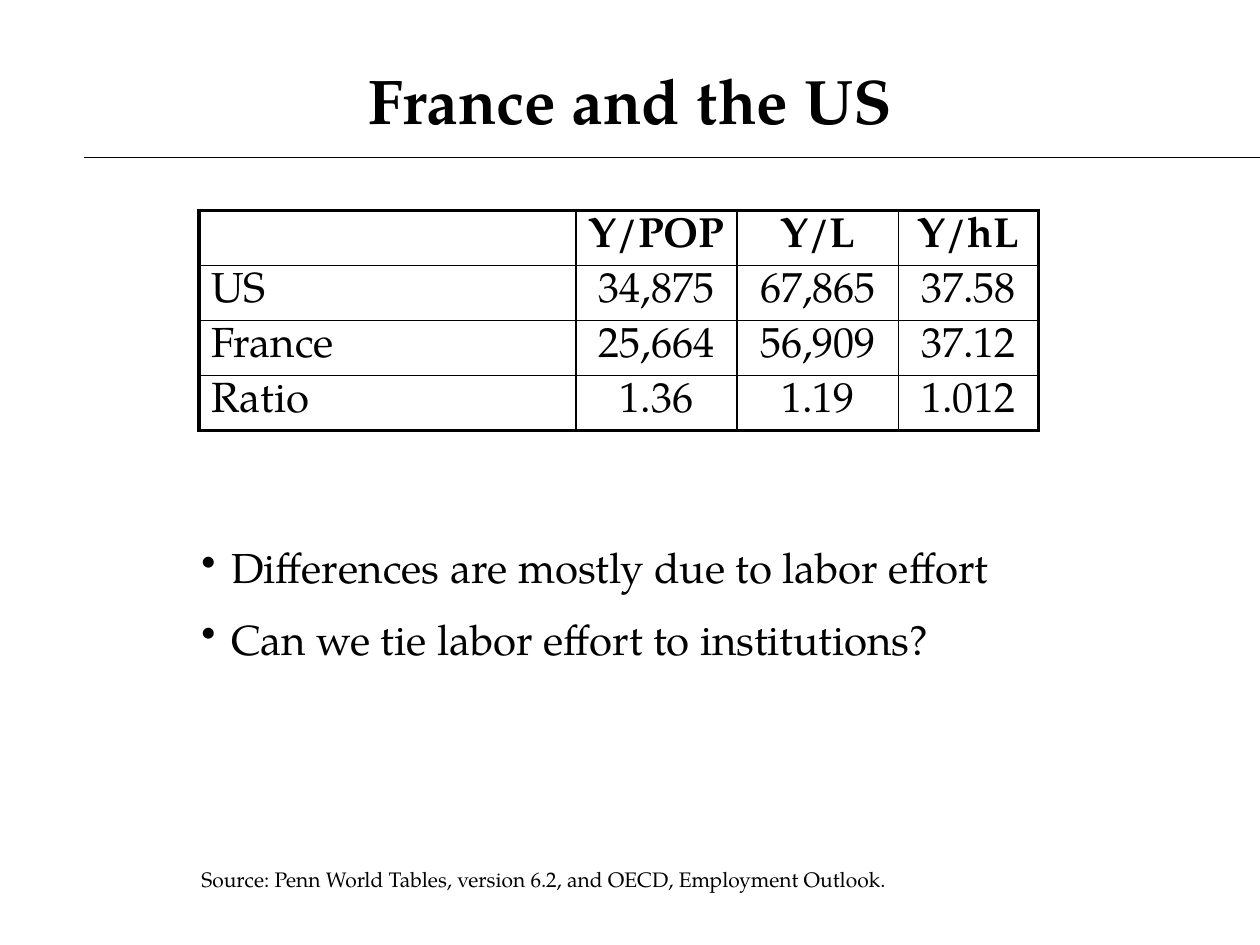
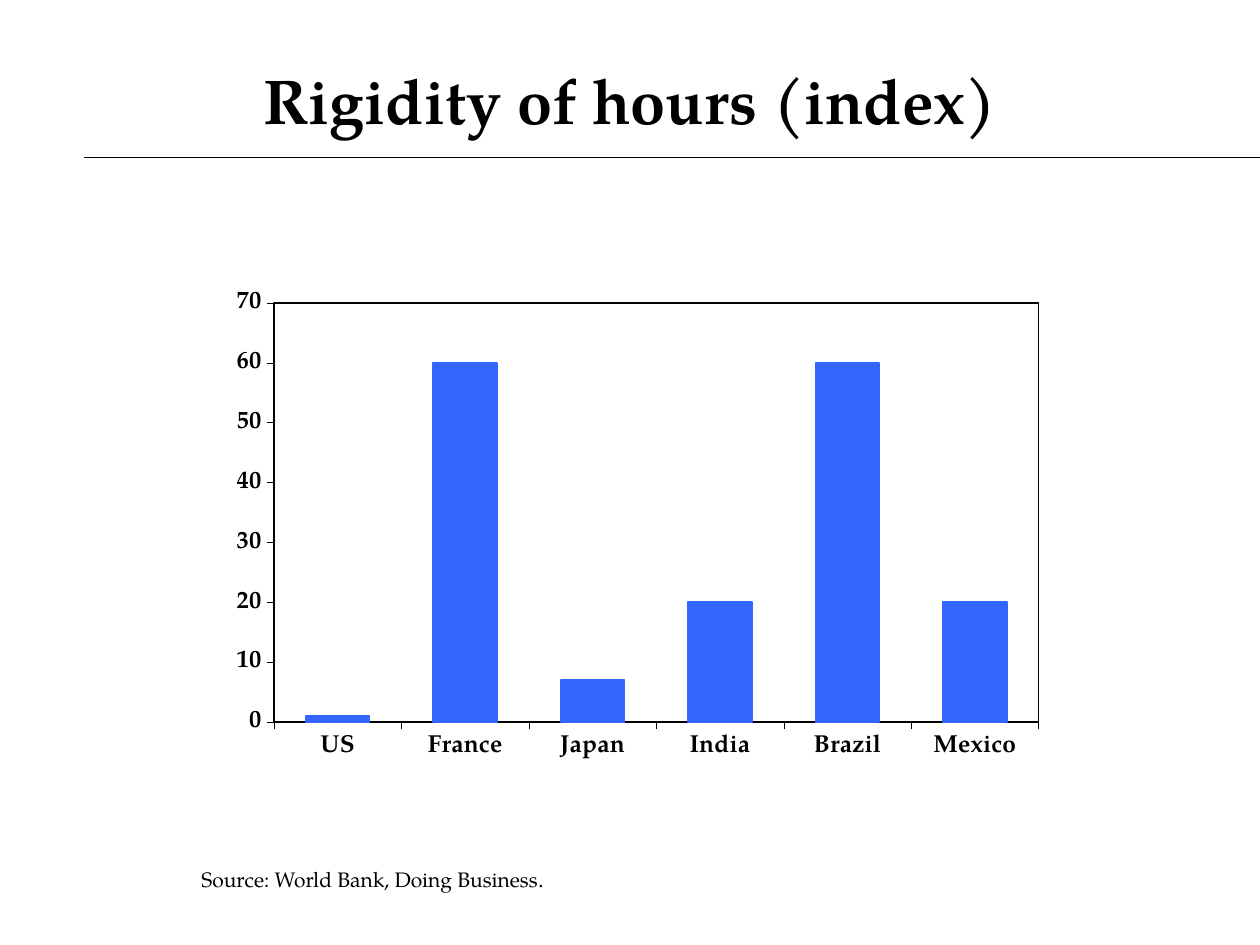
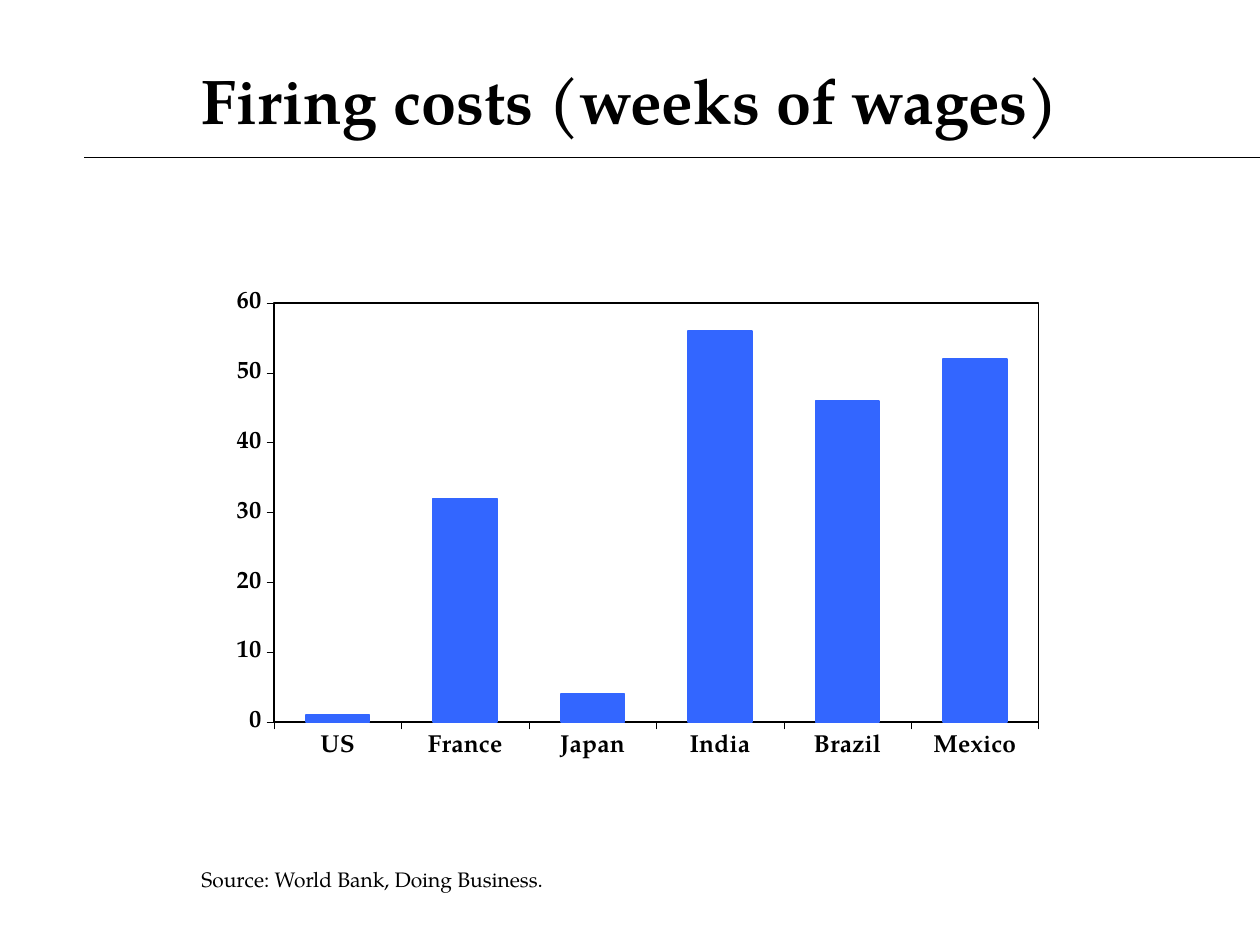
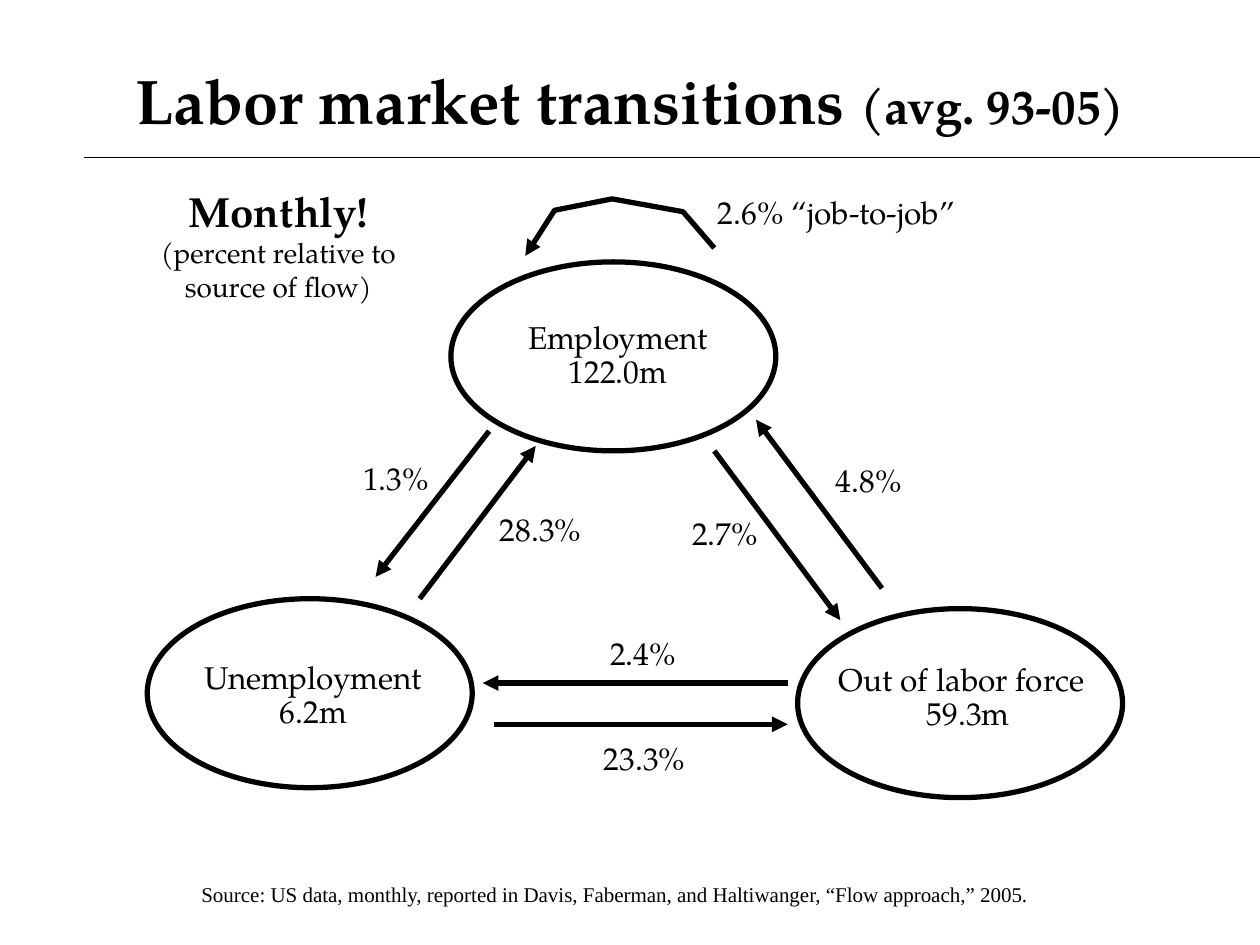
from lxml.etree import SubElement, Element
from pptx import Presentation
from pptx.chart.data import CategoryChartData as ChartData
from pptx.dml.color import RGBColor as Rgb
from pptx.enum.chart import XL_CHART_TYPE as Kind, XL_TICK_MARK as Tick
from pptx.enum.shapes import MSO_CONNECTOR as Link, MSO_SHAPE as Form
from pptx.enum.text import MSO_ANCHOR as Anchor, PP_ALIGN as Align
from pptx.oxml import parse_xml
from pptx.oxml.ns import nsdecls, qn
from pptx.util import Cm, Pt

COLORS = {"ink": "000000", "bar": "3366FF"}
SERIF, TIMES = "TeX Gyre Pagella", "Times New Roman"
FONT = {"name": SERIF, "size": Pt(18), "bold": False}
HEAD = {"size": Pt(36), "bold": True}
BODY = {"size": Pt(24)}
SMALL = {"size": Pt(12)}
AXIS = {"size": Pt(14), "bold": True}
MID = {"alignment": Align.CENTER}
TIGHT = {"line_spacing": 0.9}

TITLE = (1.27, 0.84, 22.86, 2.34)
RULE_Y, RULE_END = 3.18, 25.4
RULES = (1.7, 3.18)
BANK = [("Source: World Bank, Doing Business", {}), (".", {"name": TIMES})]

GRID = (4.01, 4.24)
COLS, ROW = (7.6, 3.25, 3.25, 2.82), 1.11
ROWS = [
    ("", "Y/POP", "Y/L", "Y/hL"),
    ("US", "34,875", "67,865", "37.58"),
    ("France", "25,664", "56,909", "37.12"),
    ("Ratio", "1.36", "1.19", "1.012"),
]
POINTS = ["Differences are mostly due to labor effort",
          "Can we tie labor effort to institutions?"]
POINT_BOX = (3.81, 10.8, 18.85, 2.79)

LANDS = ["US", "France", "Japan", "India", "Brazil", "Mexico"]
CHART = (4.17, 5.23, 16.94, 10.97)
PLOT = {"x": 0.08, "y": 0.08, "w": 0.91, "h": 0.77}
CHARTS = [
    ("Rigidity of hours (index)", (1, 60, 7, 20, 60, 20), 70, BANK),
    ("Firing costs (weeks of wages)", (1, 32, 4, 56, 46, 52), 60,
     [(BANK[0][0] + ".", {})]),
]

OVAL = (6.55, 3.81)
STATES = [
    ("Employment", "122.0m", (9.09, 5.28), (10.34, 6.38, 4.24, 1.63), MID),
    ("Out of labor force", "59.3m", (16.08, 12.27), (16.66, 13.26, 5.72, 1.63), {}),
    ("Unemployment", "6.2m", (2.97, 12.07), (3.78, 13.23, 5.08, 1.63), MID),
]
ARROWS = [
    (8.46, 12.07, 10.8, 8.99),
    (9.86, 8.69, 7.57, 11.63),
    (14.4, 9.09, 16.94, 12.5),
    (9.96, 14.6, 15.88, 14.6),
    (15.88, 13.77, 9.73, 13.77),
    (17.78, 11.86, 15.24, 8.46),
]
LOOP = [(14.4, 5), (13.77, 4.27), (12.34, 4.01), (11.18, 4.24), (10.59, 5.16)]
RATES = [
    ("4.8%", (16.46, 9.17, 2.11, 1.02), MID),
    ("2.7%", (13.56, 10.24, 2.11, 1.02), MID),
    ("1.3%", (6.93, 9.12, 2.11, 1.02), MID),
    ("28.3%", (9.53, 10.16, 2.74, 1.02), MID),
    ("2.4%", (11.96, 12.65, 2.01, 1.02), MID),
    ("23.3%", (11.66, 14.78, 2.67, 1.02), MID),
    ("2.6% “job-to-job”", (14.22, 3.76, 6.35, 1.02), {}),
]
NOTE = (2.97, 3.61, 5.28, 4.14)


def cms(vals):
    return [Cm(v) for v in vals]


def apply(item, *forms):
    for form in forms:
        for key, val in form.items():
            setattr(item, key, val)


def ink(font, *forms):
    apply(font, FONT, *forms)
    font.color.rgb = Rgb.from_string(COLORS["ink"])


def stroke(line, width, color="ink"):
    line.width = Pt(width)
    line.color.rgb = Rgb.from_string(COLORS[color])


def write(para, runs, form):
    for text, extra in runs:
        if text == "\n":
            para.add_line_break()
            continue
        run = para.add_run()
        run.text = text
        ink(run.font, form, extra)


def text_box(slide, at, paras, form={}, looks=(), anchor=Anchor.TOP):
    frame = slide.shapes.add_textbox(*cms(at)).text_frame
    apply(frame, {"word_wrap": True, "vertical_anchor": anchor})
    for num, runs in enumerate(paras):
        para = frame.add_paragraph() if num else frame.paragraphs[0]
        if num < len(looks):
            apply(para, looks[num])
        write(para, runs, form)
    return frame


def tip(shape):
    SubElement(shape._element.spPr.get_or_add_ln(), qn("a:tailEnd"), type="triangle")


def draw_line(slide, ends, width):
    link = slide.shapes.add_connector(Link.STRAIGHT, *cms(ends))
    stroke(link.line, width)
    SubElement(link._element.spPr, qn("a:effectLst"))
    return link


def start(deck, title, source, rules=RULES, foot=(3.81, 17.35, 18.21, 0.76)):
    slide = deck.slides.add_slide(deck.slide_layouts[6])
    for left in rules:
        draw_line(slide, (left, RULE_Y, RULE_END, RULE_Y), 0.75)
    text_box(slide, TITLE, [title], HEAD, [MID], Anchor.MIDDLE)
    text_box(slide, foot, [source], SMALL)
    return slide


def edge(cell, sides):
    props = cell._tc.get_or_add_tcPr()
    for num, (side, thick) in enumerate(sides.items()):
        line = Element(qn("a:ln" + side), w=str(Pt(2.25 if thick else 1)))
        fill = SubElement(line, qn("a:solidFill"))
        SubElement(fill, qn("a:srgbClr"), val=COLORS["ink"])
        props.insert(num, line)


def add_grid(slide):
    high, wide = len(ROWS), len(COLS)
    size = cms((*GRID, sum(COLS), ROW * high))
    table = slide.shapes.add_table(high, wide, *size).table
    apply(table, {"first_row": False, "horz_banding": False})
    for col, width in zip(table.columns, COLS):
        col.width = Cm(width)
    for r, row in enumerate(ROWS):
        table.rows[r].height = Cm(ROW)
        for c, text in enumerate(row):
            cell = table.cell(r, c)
            apply(cell, {"margin_top": 0, "margin_bottom": 0,
                         "margin_left": Cm(0.25), "margin_right": Cm(0.25),
                         "vertical_anchor": Anchor.MIDDLE})
            cell.fill.background()
            edge(cell, {"L": c == 0, "R": c == wide - 1,
                        "T": r == 0, "B": r == high - 1})
            para = cell.text_frame.paragraphs[0]
            para.alignment = Align.CENTER if c else Align.LEFT
            ink(para.font, BODY)
            if text:
                write(para, [(text, {"bold": r == 0})], BODY)


def add_points(slide):
    frame = text_box(slide, POINT_BOX, [[(p, {})] for p in POINTS], BODY,
                     [{}, {"space_before": Pt(12)}])
    for para in frame.paragraphs:
        props = para._p.get_or_add_pPr()
        props.set("marL", str(Cm(0.6)))
        props.set("indent", str(-Cm(0.6)))
        SubElement(props, qn("a:buChar"), char="•")


def add_bars(slide, vals, top):
    data = ChartData(number_format="#,##0")
    data.categories = LANDS
    data.add_series("Series 1", vals)
    chart = slide.shapes.add_chart(Kind.COLUMN_CLUSTERED, *cms(CHART), data).chart
    apply(chart, {"has_legend": False, "has_title": False})
    ink(chart.font, AXIS)
    plot = chart.plots[0]
    apply(plot, {"gap_width": 100, "vary_by_categories": False})
    bars = plot.series[0].format
    bars.fill.solid()
    bars.fill.fore_color.rgb = Rgb.from_string(COLORS["bar"])
    stroke(bars.line, 1, "bar")
    for axis in (chart.category_axis, chart.value_axis):
        apply(axis, {"has_major_gridlines": False, "major_tick_mark": Tick.OUTSIDE,
                     "minor_tick_mark": Tick.NONE})
        stroke(axis.format.line, 0.25)
        ink(axis.tick_labels.font, AXIS)
    apply(chart.value_axis, {"minimum_scale": 0, "maximum_scale": top, "major_unit": 10})
    apply(chart.value_axis.tick_labels,
          {"number_format": "#,##0", "number_format_is_linked": False})
    area = chart._chartSpace.chart.plotArea
    for old in area.findall(qn("c:layout")):
        area.remove(old)
    modes = "".join(f'<c:{k}Mode val="edge"/>' for k in "xy")
    spots = "".join(f'<c:{k} val="{v}"/>' for k, v in PLOT.items())
    area.insert(0, parse_xml(
        f'<c:layout {nsdecls("c")}><c:manualLayout><c:layoutTarget val="inner"/>'
        f'{modes}{spots}</c:manualLayout></c:layout>'))
    area.append(parse_xml(
        f'<c:spPr {nsdecls("c", "a")}><a:noFill/><a:ln w="{Pt(1)}"><a:solidFill>'
        f'<a:srgbClr val="{COLORS["ink"]}"/></a:solidFill></a:ln></c:spPr>'))


def outline(shape):
    shape.shadow.inherit = False
    shape.fill.background()
    stroke(shape.line, 3)


def add_flows(slide):
    for name, count, spot, at, look in STATES:
        outline(slide.shapes.add_shape(Form.OVAL, *cms(spot + OVAL)))
        text_box(slide, at, [[(name, {})], [(count, {})]],
                 looks=[{**TIGHT, **look}, {**TIGHT, **MID}])
    for ends in ARROWS:
        tip(draw_line(slide, ends, 3))
    first, *rest = [cms(spot) for spot in LOOP]
    build = slide.shapes.build_freeform(*first)
    build.add_line_segments(rest, close=False)
    bend = build.convert_to_shape()
    outline(bend)
    tip(bend)
    for text, at, look in RATES:
        text_box(slide, at, [[(text, {})]], looks=[look])
    note = [("Monthly!", {**BODY, "bold": True}), ("\n", {}),
            ("(percent relative to source of flow)", {"size": Pt(16)})]
    text_box(slide, NOTE, [note], looks=[MID])


def main():
    deck = Presentation()
    apply(deck, {"slide_width": Cm(25.4), "slide_height": Cm(19.05)})
    slide = start(deck, [("France and the US", {})], [(
        "Source: Penn World Tables, version 6.2, and OECD, Employment Outlook.", {})])
    add_grid(slide)
    add_points(slide)
    for title, vals, top, source in CHARTS:
        add_bars(start(deck, [(title, {})], source), vals, top)
    slide = start(
        deck,
        [("Labor market transitions ", {}), ("(avg. 93-05)", {"size": Pt(28)})],
        [("Source: US data, monthly, reported in Davis, Faberman, and Haltiwanger, "
          "“Flow approach,” 2005.", {"name": TIMES})],
        RULES[:1], (3.81, 17.65, 17.58, 0.76))
    add_flows(slide)
    deck.save("out.pptx")


if __name__ == "__main__":
    main()
